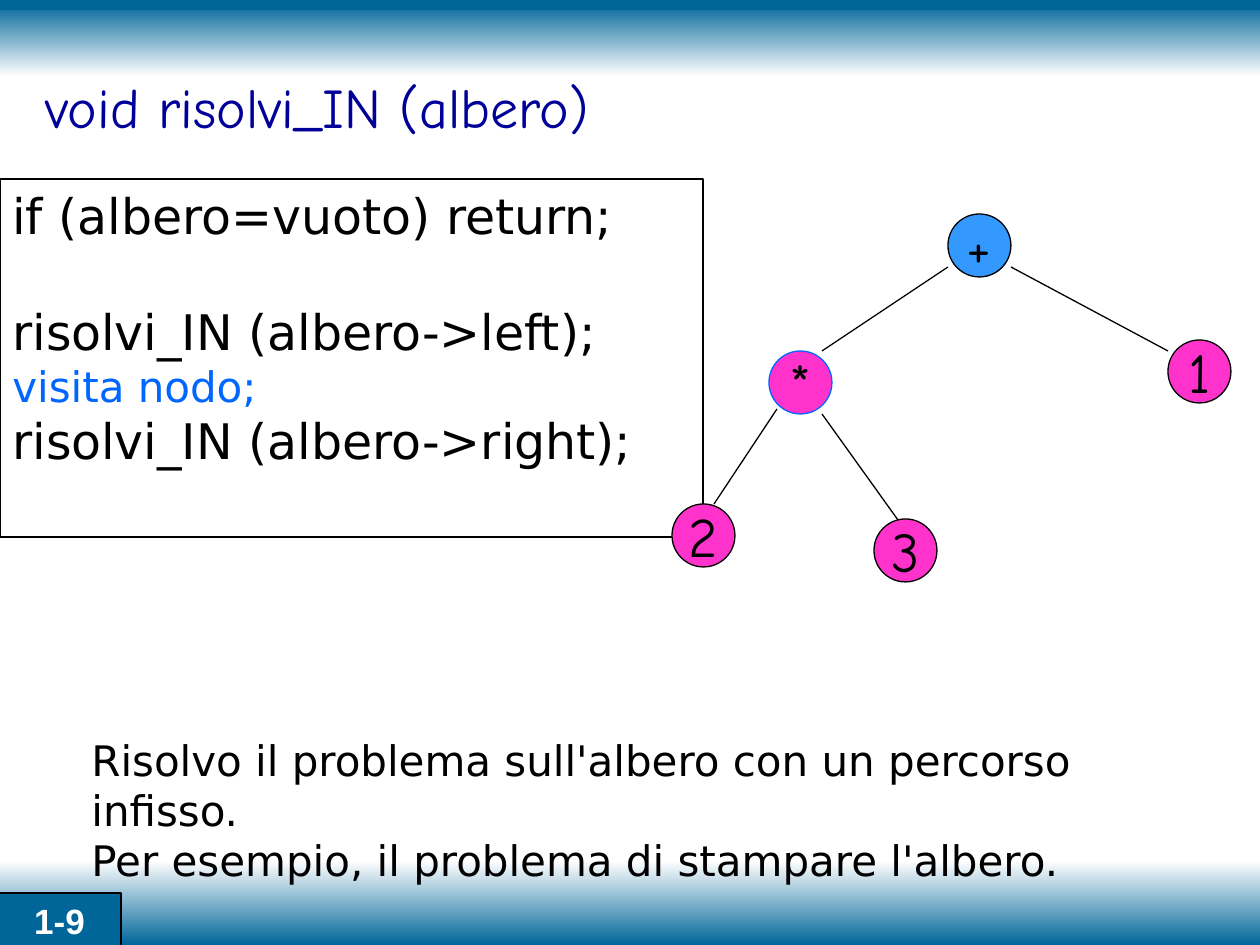
from dataclasses import dataclass

from lxml import etree
from pptx import Presentation
from pptx.dml.color import RGBColor
from pptx.enum.shapes import MSO_CONNECTOR, MSO_SHAPE
from pptx.enum.text import MSO_ANCHOR, PP_ALIGN
from pptx.oxml.ns import qn
from pptx.util import Pt

RECTANGLE, ELLIPSE = MSO_SHAPE.RECTANGLE, MSO_SHAPE.OVAL
STRAIGHT = MSO_CONNECTOR.STRAIGHT
TOP, MIDDLE = MSO_ANCHOR.TOP, MSO_ANCHOR.MIDDLE
LEFT, CENTER = PP_ALIGN.LEFT, PP_ALIGN.CENTER

WIDTH, HEIGHT = 1260, 945
NODE_SIZE = 63


@dataclass(frozen=True)
class Theme:
    band: str = "006699"
    fade: str = "FEFEFE"
    ink: str = "000000"
    white: str = "FFFFFF"
    heading: str = "000099"
    visit: str = "0066FF"
    root: str = "3399FF"
    node: str = "FF33CC"
    code_font: str = "DejaVu Sans"
    hand_font: str = "Comic Neue"
    number_font: str = "Arial"
    large: int = 32
    code: int = 28
    body: int = 24
    number: int = 20
    thin: float = 0.75


def px(length):
    return round(length * 914400 / 126)


def rgb(color):
    return RGBColor.from_string(color)


class Builder:
    def __init__(self, slide, theme):
        self.slide = slide
        self.theme = theme

    def shape(self, kind, box, fill=None, line=None, weight=None):
        shape = self.slide.shapes.add_shape(kind, *map(px, box))
        shape.shadow.inherit = False
        if fill:
            shape.fill.solid()
            shape.fill.fore_color.rgb = rgb(fill)
        else:
            shape.fill.background()
        if line:
            shape.line.color.rgb = rgb(line)
            shape.line.width = Pt(weight or self.theme.thin)
        else:
            shape.line.fill.background()
        return shape

    def gradient(self, box, colors):
        band = self.shape(RECTANGLE, box)
        band.fill.gradient()
        band.fill.gradient_angle = 270
        for stop, color in zip(band.fill.gradient_stops, colors):
            stop.color.rgb = rgb(color)

    def line(self, start, end, color, weight):
        line = self.slide.shapes.add_connector(STRAIGHT, *map(px, start + end))
        line.line.color.rgb = rgb(color)
        line.line.width = Pt(weight)
        etree.SubElement(line._element.spPr, qn("a:effectLst"))

    def set_text(self, shape, lines, font, size, color=None, align=LEFT,
                 anchor=TOP, wrap=True, bold=False):
        frame = shape.text_frame
        frame.word_wrap = wrap
        frame.vertical_anchor = anchor
        frame.text = "\n".join(lines)
        for paragraph in frame.paragraphs:
            paragraph.alignment = align
            paragraph.font.name = font
            paragraph.font.size = Pt(size)
            paragraph.font.bold = bold
            paragraph.font.color.rgb = rgb(color or self.theme.ink)
        return frame.paragraphs

    def text(self, box, lines, font, size, color=None, wrap=True):
        textbox = self.slide.shapes.add_textbox(*map(px, box))
        self.set_text(textbox, lines, font, size, color, wrap=wrap)

    def node(self, label, left, top, fill, line):
        circle = self.shape(ELLIPSE, (left, top, NODE_SIZE, NODE_SIZE), fill, line)
        self.set_text(circle, [label], self.theme.hand_font, self.theme.large,
                      align=CENTER, anchor=MIDDLE, wrap=False)


def main():
    presentation = Presentation()
    presentation.slide_width, presentation.slide_height = px(WIDTH), px(HEIGHT)
    theme = Theme()
    slide = presentation.slides.add_slide(presentation.slide_layouts[6])
    builder = Builder(slide, theme)

    builder.gradient((0, 3, WIDTH, 73), (theme.band, theme.fade))
    builder.gradient((0, 861, WIDTH, 84), (theme.fade, theme.band))
    builder.line((0, 5), (WIDTH, 5), theme.band, 6)
    page_number = builder.shape(RECTANGLE, (-2, 893, 123, 55), theme.band, theme.ink, 1)
    builder.set_text(page_number, ["1-9"], theme.number_font, theme.number,
                     theme.white, CENTER, bold=True)

    code_box = builder.shape(RECTANGLE, (0, 179, 703, 358), line=theme.ink)
    statements = builder.set_text(code_box, [
        "if (albero=vuoto) return;",
        "risolvi_IN (albero->left);",
        "visita nodo;",
        "risolvi_IN (albero->right);",
    ], theme.code_font, theme.code)
    guard, visit = statements[0], statements[2]
    guard.space_after = Pt(33)
    visit.font.size = Pt(theme.body)
    visit.font.color.rgb = rgb(theme.visit)

    builder.text((33, 66, 590, 81), ["void risolvi_IN (albero)"],
                 theme.hand_font, theme.large, theme.heading, wrap=False)

    for label, left, top, fill, outline in (
        ("*", 769, 351, theme.node, theme.visit),
        ("+", 948, 214, theme.root, theme.ink),
        ("1", 1168, 340, theme.node, theme.ink),
        ("3", 874, 519, theme.node, theme.ink),
        ("2", 672, 504, theme.node, theme.ink),
    ):
        builder.node(label, left, top, fill, outline)

    for parent, child in (
        ((948, 267), (822, 351)),
        ((1011, 267), (1168, 351)),
        ((822, 414), (898, 520)),
        ((777, 409), (714, 504)),
    ):
        builder.line(parent, child, theme.ink, theme.thin)

    builder.text((79, 728, 1096, 113), [
        "Risolvo il problema sull'albero con un percorso infisso.",
        "Per esempio, il problema di stampare l'albero.",
    ], theme.code_font, theme.body)

    presentation.save("out.pptx")


if __name__ == "__main__":
    main()
